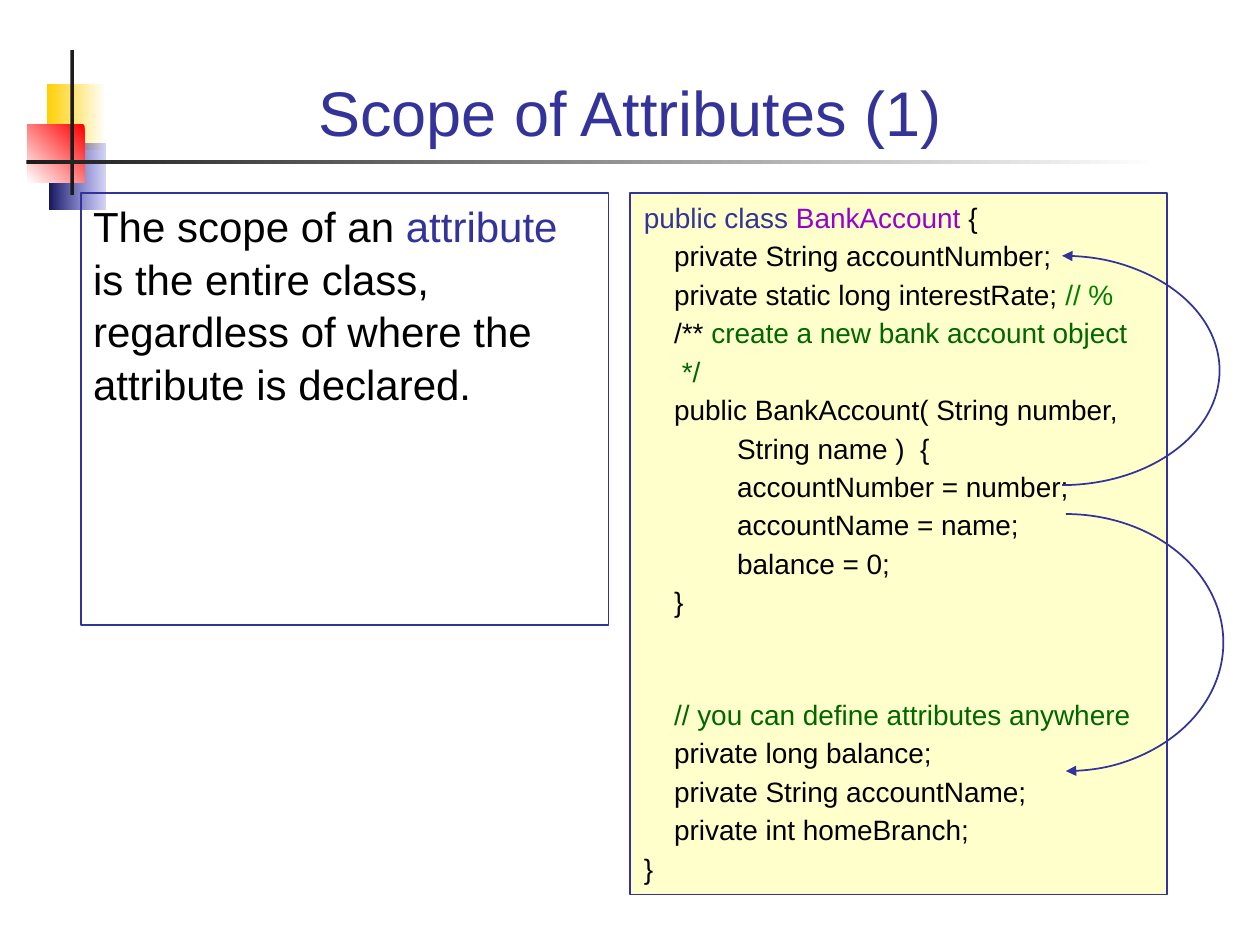
from lxml import etree
from pptx import Presentation
from pptx.dml.color import RGBColor
from pptx.enum import shapes, text
from pptx.oxml import ns
from pptx.util import Inches, Pt

INDIGO = RGBColor(0x33, 0x33, 0x99)
PURPLE = RGBColor(0x99, 0x00, 0xCC)
GREEN = RGBColor(0x00, 0x80, 0x00)
DARK_GREEN = RGBColor(0x00, 0x66, 0x00)
BLACK = RGBColor(0, 0, 0)
WHITE = RGBColor(0xFF, 0xFF, 0xFF)
CREAM = RGBColor(0xFF, 0xFF, 0xCC)
CHARCOAL = RGBColor(0x1C, 0x1C, 0x1C)
YELLOW = RGBColor(0xFF, 0xCF, 0x01)
RED = RGBColor(0xFF, 0, 0)
BLUE = RGBColor(0x33, 0x33, 0xCC)
NAVY = RGBColor(0x17, 0x17, 0x5E)

BLANK_LINES = 42.4  # points of space between constructor and late attributes

# Each line: its runs as (text, colour)
CODE = [
    [("public class ", INDIGO), ("BankAccount", PURPLE), (" {", BLACK)],
    [("\tprivate String accountNumber;", BLACK)],
    [("\tprivate static long interestRate; ", BLACK), ("// %", GREEN)],
    [("\t/** ", BLACK), ("create a new bank account object", DARK_GREEN)],
    [("\t */", DARK_GREEN)],
    [("\tpublic BankAccount( String number,", BLACK)],
    [("\t\tString name )  {", BLACK)],
    [("\t\taccountNumber = number;", BLACK)],
    [("\t\taccountName = name;", BLACK)],
    [("\t\tbalance = 0;", BLACK)],
    [("\t}", BLACK)],
    [("\t// you can define attributes anywhere", DARK_GREEN)],
    [("\tprivate long balance;", BLACK)],
    [("\tprivate String accountName;", BLACK)],
    [("\tprivate int homeBranch;", BLACK)],
    [("}", BLACK)],
]
RULE = [("The scope of an ", BLACK), ("attribute", INDIGO),
        (" is the entire class, regardless of where the attribute is declared.",
         BLACK)]


def place(shape, left, top, width, height):
    shape.left, shape.top = Inches(left), Inches(top)
    shape.width, shape.height = Inches(width), Inches(height)


def outline(shape):
    shape.line.color.rgb = INDIGO
    shape.line.width = Pt(1)


def add_preset(slide, preset, left, top, width, height):
    shape = slide.shapes.add_shape(preset, Inches(left), Inches(top),
                                   Inches(width), Inches(height))
    shape.shadow.inherit = False
    return shape


def add_ornament(slide, box, start, end, angle=0, end_alpha=100):
    """Borderless rectangle fading from start to end."""
    ornament = add_preset(slide, shapes.MSO_SHAPE.RECTANGLE, *box)
    ornament.line.fill.background()
    ornament.fill.gradient()
    ornament.fill.gradient_angle = angle
    for stop, color in zip(ornament.fill.gradient_stops, (start, end)):
        stop.color.rgb = color
    if end_alpha < 100:
        end_color = list(ornament._element.spPr.iter(ns.qn("a:srgbClr")))[-1]
        etree.SubElement(end_color, ns.qn("a:alpha"), val=str(end_alpha * 1000))


def write_runs(paragraph, runs, size, space_before):
    paragraph.font.name = "Arial"
    paragraph.font.size = Pt(size)
    paragraph.alignment = text.PP_ALIGN.LEFT
    paragraph.line_spacing = 1.04
    paragraph.space_before = Pt(space_before)
    for words, color in runs:
        run = paragraph.add_run()
        run.text = words
        run.font.color.rgb = color


def write_title(title):
    place(title, 0.67, 0.28, 8.66, 0.95)
    title.text_frame.vertical_anchor = text.MSO_ANCHOR.BOTTOM
    title.text_frame.auto_size = text.MSO_AUTO_SIZE.NONE
    heading = title.text_frame.paragraphs[0]
    heading.text = "Scope of Attributes (1)"
    heading.alignment = text.PP_ALIGN.CENTER
    heading.font.name = "Arial"
    heading.font.size = Pt(36)
    heading.font.color.rgb = INDIGO


def write_code(listing):
    place(listing, 5, 1.53, 4.26, 5.57)
    listing.fill.solid()
    listing.fill.fore_color.rgb = CREAM
    outline(listing)
    frame = listing.text_frame
    frame.auto_size = text.MSO_AUTO_SIZE.NONE
    for number, runs in enumerate(CODE):
        line = frame.add_paragraph() if number else frame.paragraphs[0]
        after_gap = "anywhere" in runs[0][0]
        write_runs(line, runs, 16, 2 + BLANK_LINES * after_gap)
        properties = line._p.get_or_add_pPr()
        properties.set("marL", str(Inches(0.25)))
        properties.set("indent", str(Inches(-0.24)))
        etree.SubElement(properties, ns.qn("a:buNone"))
        # Bullet settings come before the default run properties
        properties.append(properties.find(ns.qn("a:defRPr")))


def add_rule(slide):
    rule = add_preset(slide, shapes.MSO_SHAPE.RECTANGLE, 0.64, 1.53, 4.19, 3.43)
    rule.fill.background()
    outline(rule)
    rule.text_frame.word_wrap = True
    rule.text_frame.vertical_anchor = text.MSO_ANCHOR.TOP
    write_runs(rule.text_frame.paragraphs[0], RULE, 24, 6)


def add_arc_arrow(slide, box, arrow_end):
    """Right half of an ellipse, drawn from top to bottom."""
    arc = add_preset(slide, shapes.MSO_SHAPE.ARC, *box)
    arc.adjustments[0] = 162  # 270 degrees
    arc.adjustments[1] = 54   # 90 degrees
    arc.fill.background()
    outline(arc)
    etree.SubElement(arc.line._get_or_add_ln(), ns.qn(arrow_end),
                     type="triangle")


def main():
    deck = Presentation()
    deck.slide_width, deck.slide_height = Inches(10), Inches(7.5)
    slide = deck.slides.add_slide(deck.slide_layouts[1])

    # Corner ornament and heading rules
    add_ornament(slide, (0.37, 0.67, 0.47, 0.52), YELLOW, WHITE)
    add_ornament(slide, (0.39, 1.14, 0.45, 0.52), NAVY, BLUE, end_alpha=20)
    add_ornament(slide, (0.22, 0.99, 0.45, 0.46), RED, WHITE, angle=225)
    add_ornament(slide, (0.56, 0.4, 0.03, 1.15), CHARCOAL, CHARCOAL)
    add_ornament(slide, (0.21, 1.27, 8.99, 0.03), CHARCOAL, WHITE)

    # Title, code listing and rule
    write_title(slide.shapes.title)
    write_code(slide.placeholders[1])
    add_rule(slide)

    # Arrows from each use to its declaration
    add_arc_arrow(slide, (7.18, 2.03, 2.5, 1.82), "a:headEnd")
    add_arc_arrow(slide, (7.21, 4.08, 2.5, 2.04), "a:tailEnd")

    deck.save("out.pptx")


if __name__ == "__main__":
    main()
